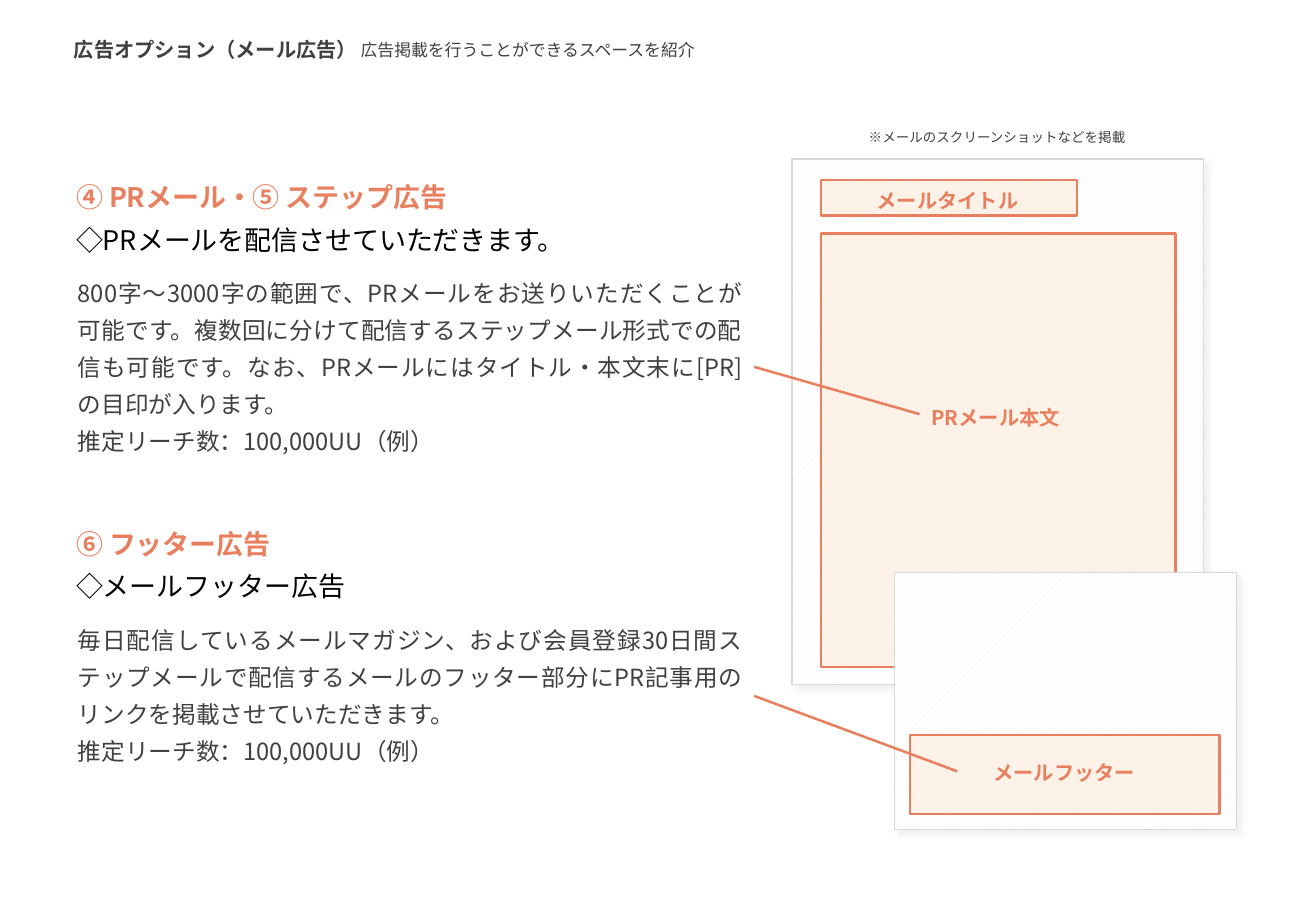
from dataclasses import dataclass

from lxml import etree
from pptx import Presentation
from pptx import util as u
from pptx.dml import color
from pptx.enum import dml, shapes, text
from pptx.oxml import ns

Pt = u.Pt


@dataclass(frozen=True)
class Theme:
    font: str = "Noto Sans CJK JP"
    accent: str = "E8805F"
    highlight: str = "FDEADA"
    ink: str = "404040"
    black: str = "000000"
    paper: str = "FFFFFF"
    hatch: str = "F2F2F2"
    edge: str = "D9D9D9"
    heading: float = 16
    body: float = 14
    label: float = 12
    subtitle: float = 10
    note: float = 8
    leading: float = 1.3
    thin: float = 0.75
    thick: float = 1.5


THEME = Theme()


def rgb(value):
    return color.RGBColor.from_string(value)


def add_xml(parent, tag, **attributes):
    return etree.SubElement(parent, ns.qn(tag), attributes)


def add_rectangle(slide, box, edge, width):
    rectangle = slide.shapes.add_shape(shapes.MSO_SHAPE.RECTANGLE, *map(Pt, box))
    rectangle.shadow.inherit = False
    rectangle.line.color.rgb = rgb(edge)
    rectangle.line.width = Pt(width)
    return rectangle


def add_sheet(slide, *box):
    sheet = add_rectangle(slide, box, THEME.edge, THEME.thin)
    sheet.fill.patterned()
    sheet.fill.pattern = dml.MSO_PATTERN.WIDE_UPWARD_DIAGONAL
    sheet.fill.fore_color.rgb = rgb(THEME.hatch)
    sheet.fill.back_color.rgb = rgb(THEME.paper)
    effects = sheet._element.spPr.find(ns.qn("a:effectLst"))
    shadow = add_xml(effects, "a:outerShdw", blurRad=str(Pt(4)), dist=str(Pt(3)),
                     dir="2700000", algn="tl", rotWithShape="0")
    shade = add_xml(shadow, "a:srgbClr", val=THEME.edge)
    add_xml(shade, "a:alpha", val="40000")


def add_ad_space(slide, *box):
    space = add_rectangle(slide, box, THEME.accent, THEME.thick)
    space.fill.solid()
    space.fill.fore_color.rgb = rgb(THEME.highlight)
    tint = space._element.spPr.find(ns.qn("a:solidFill"))[0]
    add_xml(tint, "a:alpha", val="60000")


def add_text(slide, box, lines, size, leading=None, align=None, wrap=False,
             grow=True, middle=False):
    block = slide.shapes.add_textbox(*map(Pt, box))
    frame = block.text_frame
    frame.word_wrap = wrap
    frame.auto_size = (text.MSO_AUTO_SIZE.SHAPE_TO_FIT_TEXT if grow
                       else text.MSO_AUTO_SIZE.NONE)
    if middle:
        frame.vertical_anchor = text.MSO_ANCHOR.MIDDLE
    for index, (words, ink, bold) in enumerate(lines):
        paragraph = frame.add_paragraph() if index else frame.paragraphs[0]
        paragraph.alignment = align
        paragraph.line_spacing = leading
        run = paragraph.add_run()
        run.text = words
        run.font.size = Pt(size)
        run.font.bold = bold
        run.font.color.rgb = rgb(ink)
        run.font.name = THEME.font
        add_xml(run.font._element, "a:ea", typeface=THEME.font)
    return block


def add_label(slide, box, words, **options):
    return add_text(slide, box, [(words, THEME.accent, True)], THEME.label,
                    THEME.leading, **options)


def add_section(slide, top, height, heading, lead, details):
    add_text(slide, (38, top, 310, 57.5),
             [(heading, THEME.accent, True), (lead, THEME.black, False)],
             THEME.heading, THEME.leading)
    return add_text(slide, (39, top + 59, 408, height),
                    [(words, THEME.ink, False) for words in details],
                    THEME.body, THEME.leading, text.PP_ALIGN.JUSTIFY, wrap=True)


def add_pointer(slide, start, end):
    pointer = slide.shapes.add_connector(shapes.MSO_CONNECTOR.STRAIGHT,
                                         *map(Pt, start + end))
    pointer.line.color.rgb = rgb(THEME.accent)
    pointer.line.width = Pt(THEME.thick)
    add_xml(pointer._element.spPr, "a:effectLst")
    return pointer


def main():
    deck = Presentation()
    deck.slide_width, deck.slide_height = Pt(780), Pt(540)
    slide = deck.slides.add_slide(deck.slide_layouts[6])
    reach = "推定リーチ数：100,000UU（例）"

    add_text(slide, (36.7, 18.7, 184.3, 21.6),
             [("広告オプション（メール広告）", THEME.ink, True)], THEME.label)
    add_text(slide, (206.7, 20, 216.7, 19.4),
             [("広告掲載を行うことができるスペースを紹介", THEME.ink, False)],
             THEME.subtitle, middle=True)

    pr_details = add_section(
        slide, 98, 121, "④ PRメール・⑤ ステップ広告",
        "◇PRメールを配信させていただきます。",
        ["800字〜3000字の範囲で、PRメールをお送りいただくことが可能です。"
         "複数回に分けて配信するステップメール形式での配信も可能です。"
         "なお、PRメールにはタイトル・本文末に[PR]の目印が入ります。", reach])
    footer_details = add_section(
        slide, 303.5, 100, "⑥ フッター広告", "◇メールフッター広告",
        ["毎日配信しているメールマガジン、および会員登録30日間ステップメールで"
         "配信するメールのフッター部分にPR記事用のリンクを掲載させていただきます。",
         reach])

    add_sheet(slide, 469.5, 94.3, 244, 311.7)
    add_ad_space(slide, 486.5, 138.3, 210.2, 257)
    add_ad_space(slide, 486.5, 106.6, 152, 21)
    add_label(slide, (512.6, 103.7, 99.4, 26), "メールタイトル")
    pr_label = add_label(slide, (545, 232.5, 93, 26), "PRメール本文",
                         wrap=True, grow=False)
    pr_pointer = add_pointer(slide, (545, 245.5), (447, 217.5))
    pr_pointer.begin_connect(pr_label, 1)
    pr_pointer.end_connect(pr_details, 3)

    add_sheet(slide, 530, 339.2, 203, 152.6)
    add_ad_space(slide, 539.3, 435.6, 183.6, 46.8)
    add_label(slide, (581.8, 442.8, 99.4, 26), "メールフッター")
    footer_pointer = add_pointer(slide, (567.4, 457.2), (447, 412.5))
    footer_pointer.end_connect(footer_details, 3)

    add_text(slide, (489.6, 72.7, 203, 17.3),
             [("※メールのスクリーンショットなどを掲載", THEME.ink, False)],
             THEME.note, align=text.PP_ALIGN.CENTER, wrap=True, middle=True)
    deck.save("out.pptx")


if __name__ == "__main__":
    main()
